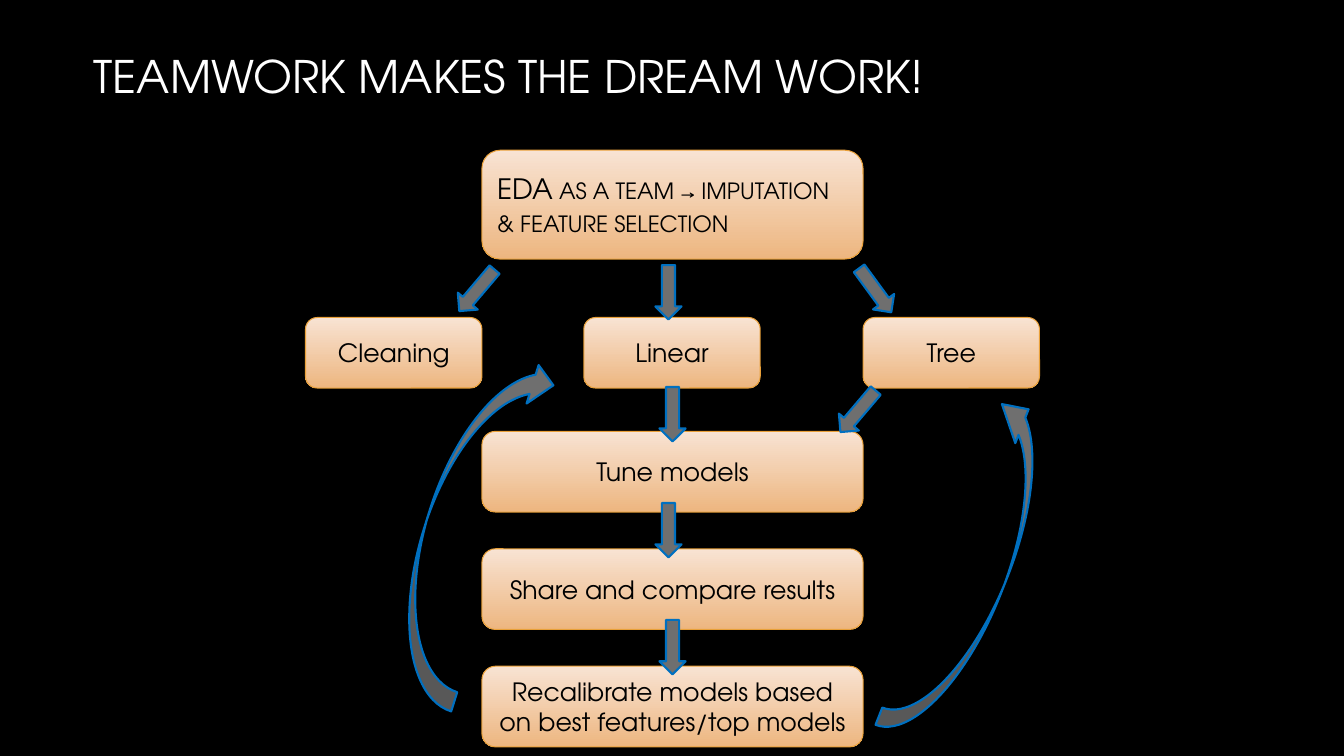
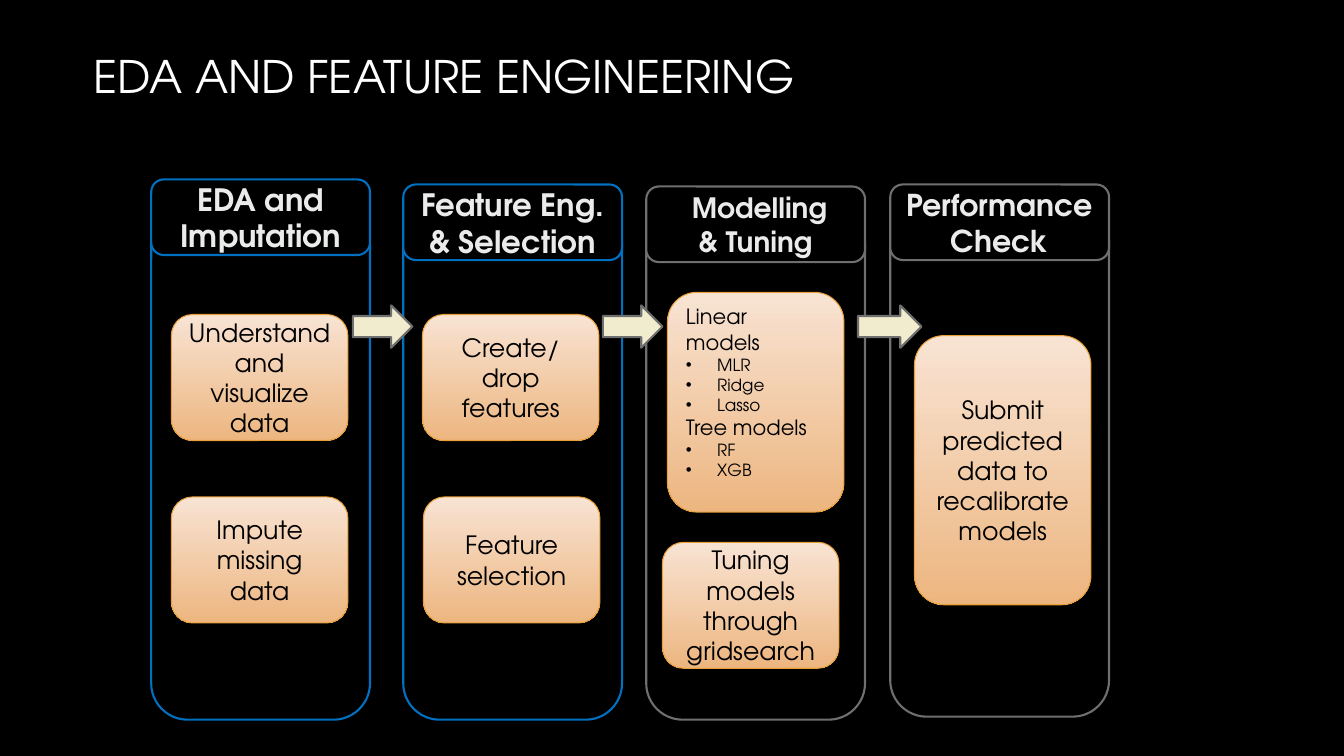
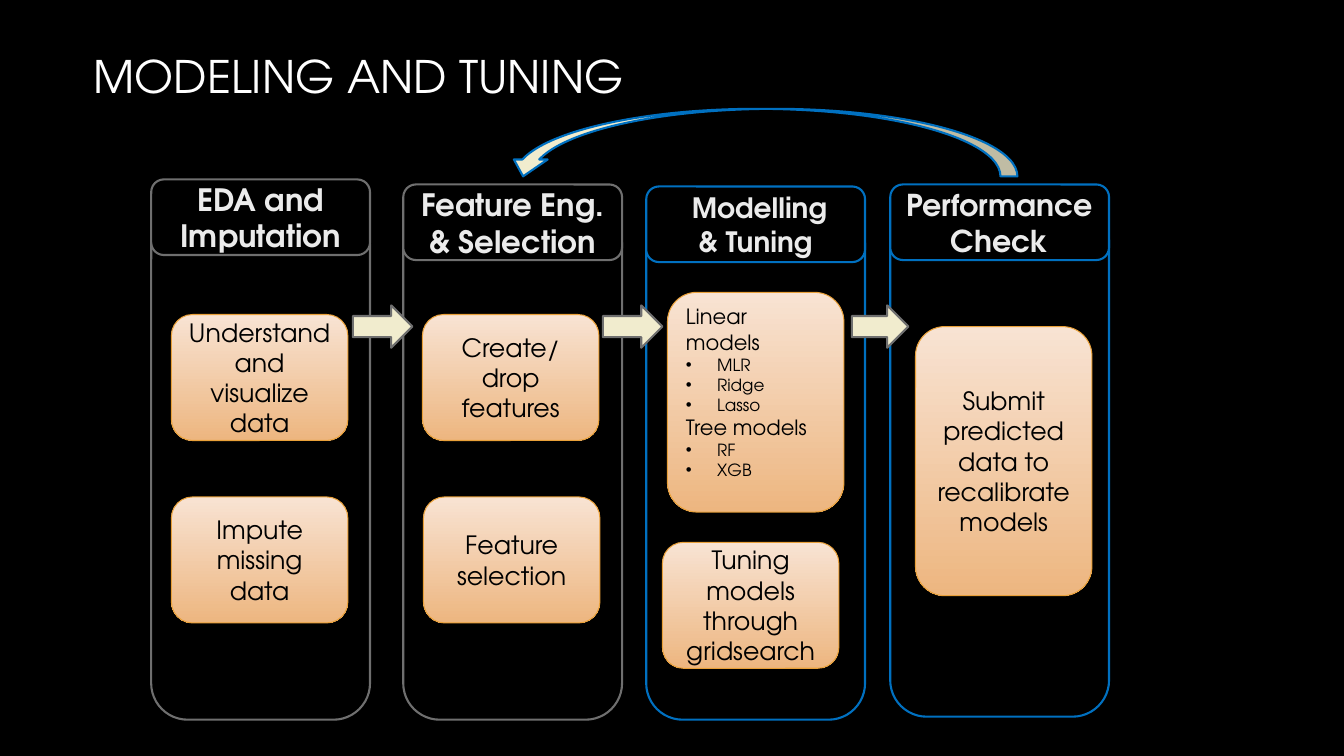
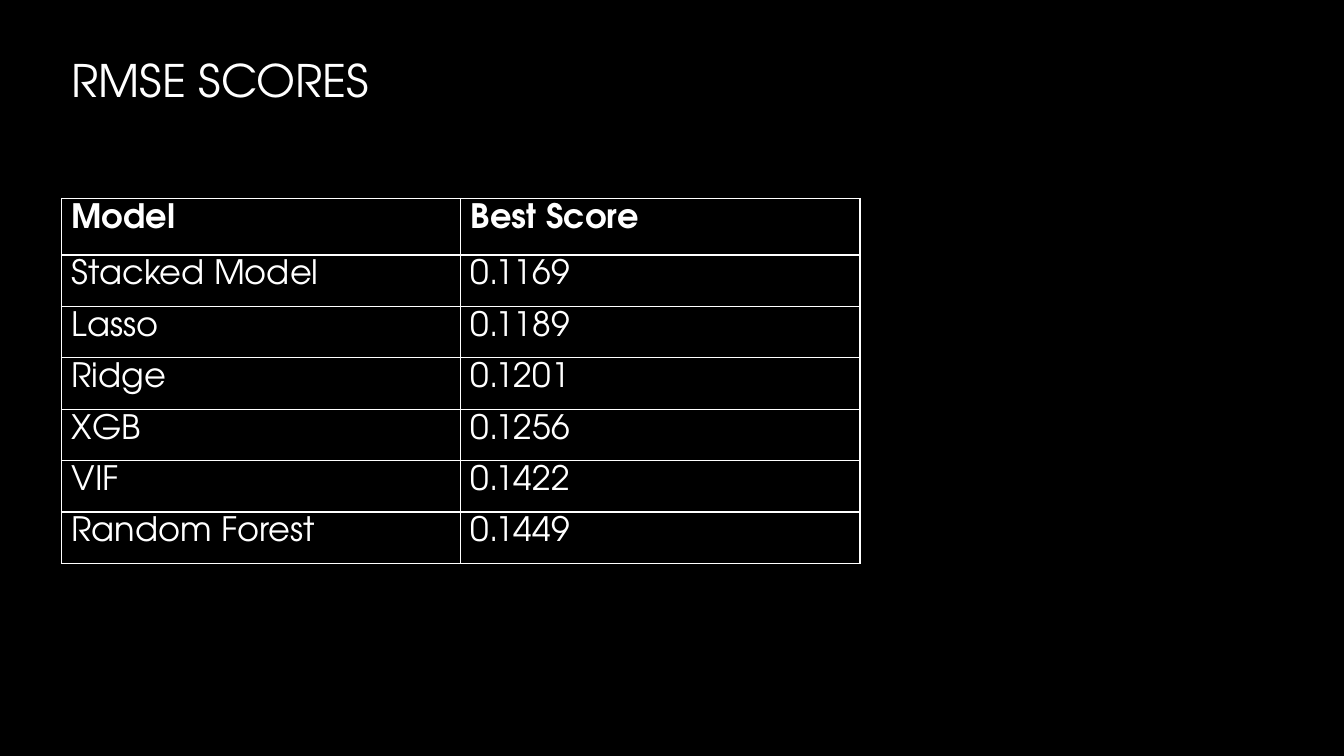
from lxml import etree
from pptx import Presentation
from pptx.dml.color import RGBColor
from pptx.enum import shapes, text
from pptx.oxml import ns
from pptx.util import Inches, Pt

BLACK = RGBColor(0x00, 0x00, 0x00)
WHITE = RGBColor(0xFF, 0xFF, 0xFF)
PALE = RGBColor(0xEB, 0xEB, 0xEB)
PEACH = RGBColor(0xF8, 0xE3, 0xD3)
ORANGE = RGBColor(0xED, 0xB6, 0x80)
AMBER = RGBColor(0xE9, 0xA0, 0x39)
BLUE = RGBColor(0x00, 0x70, 0xC0)
GREY = RGBColor(0x6F, 0x6F, 0x6F)
CREAM = RGBColor(0xF1, 0xEC, 0xCE)
FONT = "TeX Gyre Adventor"
KIND = shapes.MSO_SHAPE
ALIGN = text.PP_ALIGN

COLUMN_WIDTH = 2.17
COLUMN_HEIGHT = 5.08
STEP_WIDTH = 1.75
STEP_HEIGHT = 1.25
STAGES = [
    (1.5, 1.78, 2.06, "EDA and Imputation", 22),
    (4, 1.83, 2.06, "Feature Eng. & Selection", 22),
    (6.41, 1.85, 2.06, " Modelling\n& Tuning", 20),
    (8.83, 1.83, 2.03, "Performance Check", 21.5),
]
STEPS = [
    (1.7, 3.12, "Understand and visualize data"),
    (1.7, 4.93, "Impute missing data"),
    (4.19, 3.12, "Create/ drop features"),
    (4.2, 4.93, "Feature selection"),
    (6.57, 5.38, "Tuning models through gridsearch"),
]
MODELS = [("Linear models", ["MLR", "Ridge", "Lasso"]), ("Tree models", ["RF", "XGB"])]
SCORES = [
    ("Model", "Best Score"),
    ("Stacked Model", "0.1169"),
    ("Lasso", "0.1189"),
    ("Ridge", "0.1201"),
    ("XGB", "0.1256"),
    ("VIF", "0.1422"),
    ("Random Forest", "0.1449"),
]


def style(font, size, color, bold=False):
    """Set the typeface, size, colour and weight of a font."""
    font.name = FONT
    font.size = Pt(size)
    font.color.rgb = color
    font.bold = bold


def add_page(deck, title, left=0.83, top=0):
    """Add a slide with the shared title style."""
    page = deck.slides.add_slide(deck.slide_layouts[5])
    box = page.shapes.title
    box.left, box.top = Inches(left), Inches(top)
    box.width, box.height = Inches(12.5), Inches(1.49)
    frame = box.text_frame
    frame.text = title
    frame.vertical_anchor = text.MSO_ANCHOR.MIDDLE
    frame.paragraphs[0].alignment = ALIGN.LEFT
    style(frame.paragraphs[0].runs[0].font, 32, WHITE)
    return page


def add_block(page, kind, box, fill, line, weight=1.5, rotation=0):
    """Draw an outlined preset shape with a plain fill."""
    block = page.shapes.add_shape(kind, *map(Inches, box))
    block.shadow.inherit = False
    block.fill.solid()
    block.fill.fore_color.rgb = fill
    block.line.color.rgb = line
    block.line.width = Pt(weight)
    block.rotation = rotation
    return block


def write(block, words, size, color, bold=False):
    """Write centred text in a shape."""
    block.text_frame.text = words
    for para in block.text_frame.paragraphs:
        para.alignment = ALIGN.CENTER
        for span in para.runs:
            style(span.font, size, color, bold)


def add_card(page, box, words=""):
    """Draw a rounded peach card with an optional label."""
    card = add_block(page, KIND.ROUNDED_RECTANGLE, box, PEACH, AMBER, 0.75)
    card.fill.gradient()
    card.fill.gradient_angle = 270
    for stop, color in zip(card.fill.gradient_stops, (PEACH, ORANGE)):
        stop.color.rgb = color
    if words:
        write(card, words, 18, BLACK)
    return card


def add_kickoff(page, box):
    """Draw the opening card in small capitals."""
    para = add_card(page, box).text_frame.paragraphs[0]
    para.alignment = ALIGN.LEFT
    parts = [("EDA as a team ", 20), ("→", 14), (" imputation & feature selection", 20)]
    for words, size in parts:
        span = para.add_run()
        span.text = words
        style(span.font, size, BLACK)
        span.font._element.set("cap", "small")


def add_models(page, box):
    """Draw the card that lists the model families."""
    frame = add_card(page, box).text_frame
    frame.margin_bottom = Inches(0.25)
    rows = [(name, level) for family, members in MODELS
            for name, level in [(family, 0)] + [(member, 1) for member in members]]
    frame.text = "\n".join(name for name, level in rows)
    for para, (name, level) in zip(frame.paragraphs, rows):
        para.alignment = ALIGN.LEFT
        if level:
            props = para._p.get_or_add_pPr()
            props.set("marL", str(Inches(0.31)))
            props.set("indent", str(-Inches(0.31)))
            etree.SubElement(props, ns.qn("a:buFont"), typeface="Arial")
            etree.SubElement(props, ns.qn("a:buChar"), char="•")
        style(para.runs[0].font, 12 if level else 15, BLACK)


def add_teamwork(page):
    """Draw the team workflow with its arrows and feedback loops."""
    left, width = 4.78, 3.78
    add_kickoff(page, (left, 1.49, width, 1.08))
    for x, name in [(3.03, "Cleaning"), (5.79, "Linear"), (8.56, "Tree")]:
        add_card(page, (x, 3.15, STEP_WIDTH, 0.7), name)
    phases = ["Tune models", "Share and compare results",
              "Recalibrate models based on best features/top models"]
    for index, name in enumerate(phases):
        add_card(page, (left, 4.28 + 1.165 * index, width, 0.8), name)
    arrows = [(4.46, 2.75, 130.3), (8.41, 2.75, 53.8), (6.36, 2.77, 90), (6.4, 3.98, 90),
              (6.36, 5.13, 90), (6.4, 6.29, 90), (8.24, 3.95, 130.3)]
    for x, y, angle in arrows:
        add_block(page, KIND.RIGHT_ARROW, (x, y, 0.54, 0.26), GREY, BLUE, rotation=angle)
    add_block(page, KIND.CURVED_LEFT_ARROW, (4.23, 3.43, 0.8, 3.59), GREY, BLUE, rotation=197.4)
    loop = add_block(page, KIND.CURVED_RIGHT_ARROW, (9.32, 3.84, 0.68, 3.6), GREY, BLUE,
                     rotation=201.5)
    for index, value in enumerate((0.27, 0.53, 0.39)):
        loop.adjustments[index] = value


def add_pipeline(page, active, last_arrow, submit):
    """Draw the four stages, outlining the active ones in blue."""
    outlines = [BLUE if index in active else GREY for index in range(len(STAGES))]
    for (x, head, top, name, size), line in zip(STAGES, outlines):
        add_block(page, KIND.ROUNDED_RECTANGLE, (x, top, COLUMN_WIDTH, COLUMN_HEIGHT), BLACK, line)
        header = add_block(page, KIND.ROUNDED_RECTANGLE, (x, head, COLUMN_WIDTH, 0.75), BLACK, line)
        write(header, name, size, PALE, True)
    for x, width in [(3.5, 0.59), (5.98, 0.59), last_arrow]:
        add_block(page, KIND.RIGHT_ARROW, (x, 3.03, width, 0.42), CREAM, GREY)
    for x, y, name in STEPS:
        add_card(page, (x, y, STEP_WIDTH, STEP_HEIGHT), name)
    add_models(page, (6.62, 2.9, STEP_WIDTH, 2.18))
    add_card(page, (*submit, STEP_WIDTH, 2.67), "Submit predicted data to recalibrate models")


def add_borders(cell):
    """Give a cell thin white borders on all sides."""
    props = cell._tc.get_or_add_tcPr()
    for side in ("lnL", "lnR", "lnT", "lnB"):
        edge = etree.SubElement(props, ns.qn("a:" + side), w=str(Pt(1)))
        fill = etree.SubElement(edge, ns.qn("a:solidFill"))
        etree.SubElement(fill, ns.qn("a:srgbClr"), val=str(WHITE))


def add_scores(page, left, top, width):
    """Draw the table of scores."""
    heights = [0.56] + [0.51] * (len(SCORES) - 1)
    frame = page.shapes.add_table(len(SCORES), 2, Inches(left), Inches(top),
                                  Inches(width), Inches(sum(heights)))
    table = frame.table
    table.first_row = table.horz_banding = False
    for index, (values, height) in enumerate(zip(SCORES, heights)):
        table.rows[index].height = Inches(height)
        for cell, value in zip(table.rows[index].cells, values):
            add_borders(cell)
            cell.fill.solid()
            cell.fill.fore_color.rgb = BLACK
            cell.text_frame.text = value
            style(cell.text_frame.paragraphs[0].runs[0].font, 24, WHITE, index == 0)


def main():
    """Build the four slides."""
    deck = Presentation()
    deck.slide_width, deck.slide_height = Inches(13.33), Inches(7.5)
    backdrop = deck.slide_master.background.fill
    backdrop.solid()
    backdrop.fore_color.rgb = BLACK

    add_teamwork(add_page(deck, "TEAMWORK MAKES THE DREAM WORK!"))
    page = add_page(deck, "EDA AND FEATURE ENGINEERING")
    add_pipeline(page, (0, 1), (8.51, 0.63), (9.07, 3.33))
    page = add_page(deck, "MODELING AND TUNING")
    add_block(page, KIND.CURVED_RIGHT_ARROW, (7.22, -1.12, 0.67, 5.07), CREAM, BLUE, rotation=90)
    add_pipeline(page, (2, 3), (8.45, 0.56), (9.08, 3.24))
    add_scores(add_page(deck, "RMSE SCORES", 0.61, 0.04), 0.61, 1.97, 7.92)
    deck.save("out.pptx")


if __name__ == "__main__":
    main()
